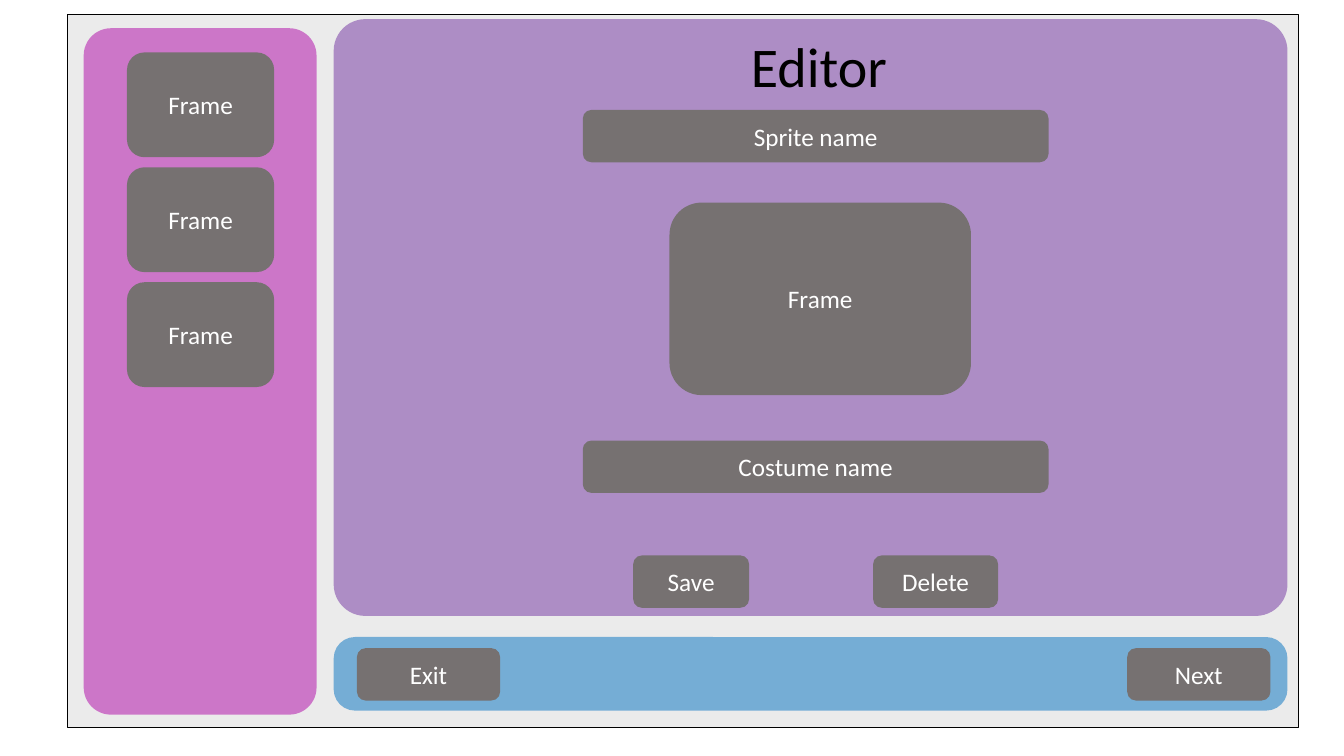
from lxml import etree
from pptx import Presentation
from pptx import util as u
from pptx.dml.color import RGBColor
from pptx.enum import shapes, text
from pptx.oxml.ns import qn

PX = 9144  # EMU per px, 100 px to the inch


def px(*lengths):
    return [u.Emu(length * PX) for length in lengths]


def paint(color_format, color):
    color_format.rgb = RGBColor.from_string(color)


class Wireframe:
    font = "Calibri"
    button_fill = "767171"
    button_size = 18
    title_size = 40

    def __init__(self, page):
        self.page = page

    def add_words(self, frame, words, size, color, align):
        para = frame.paragraphs[0]
        para.alignment = align
        span = para.add_run()
        span.text = words
        span.font.name = self.font
        span.font.size = u.Pt(size)
        paint(span.font.color, color)

    def box(self, kind, place, fill, corner=None):
        box = self.page.shapes.add_shape(kind, *px(*place))
        box.shadow.inherit = False
        box.fill.solid()
        paint(box.fill.fore_color, fill)
        box.line.fill.background()
        if corner is not None:
            box.adjustments[0] = corner
        return box

    def panel(self, place, fill, corner=None, outline=None):
        """Half-transparent area; square when no corner is given."""
        kinds = shapes.MSO_SHAPE
        kind = kinds.RECTANGLE if corner is None else kinds.ROUNDED_RECTANGLE
        box = self.box(kind, place, fill, corner)
        tint = box._element.spPr.find(qn("a:solidFill"))[0]
        etree.SubElement(tint, qn("a:alpha")).set("val", "50000")
        if outline:
            box.line.fill.solid()
            paint(box.line.fill.fore_color, outline)
            box.line.width = u.Pt(0.75)

    def button(self, words, *place):
        box = self.box(shapes.MSO_SHAPE.ROUNDED_RECTANGLE, place, self.button_fill)
        frame = box.text_frame
        frame.word_wrap = True
        frame.vertical_anchor = text.MSO_ANCHOR.MIDDLE
        self.add_words(frame, words, self.button_size, "FFFFFF", text.PP_ALIGN.CENTER)

    def title(self, words, *place):
        frame = self.page.shapes.add_textbox(*px(*place)).text_frame
        frame.word_wrap = False
        frame.auto_size = text.MSO_AUTO_SIZE.SHAPE_TO_FIT_TEXT
        self.add_words(frame, words, self.title_size, "000000", text.PP_ALIGN.LEFT)


def main():
    deck = Presentation()
    deck.slide_width, deck.slide_height = px(1333, 750)
    wire = Wireframe(deck.slides.add_slide(deck.slide_layouts[6]))
    bar_height = 52

    wire.panel((67, 14, 1221, 708), "D9D9D9", outline="000000")

    wire.panel((83, 28, 231, 681), "AE02A6", 0.117)
    for row in range(3):
        wire.button("Frame", 126, 52 + 114 * row, 146, 104)

    wire.panel((331, 632, 946, 73), "0070C0", 0.29)
    for words, left in (("Exit", 354), ("Next", 1118)):
        wire.button(words, left, 643, 142, bar_height)

    wire.panel((331, 19, 946, 592), "7030A0", 0.053)
    for words, left, width in (("Save", 628, 115), ("Delete", 866, 124)):
        wire.button(words, left, 551, width, bar_height)
    wire.title("Editor", 735, 26, 156, 77)
    for words, top in (("Sprite name", 109), ("Costume name", 437)):
        wire.button(words, 578, top, 462, bar_height)
    wire.button("Frame", 664, 201, 299, 191)

    deck.save("out.pptx")


if __name__ == "__main__":
    main()
